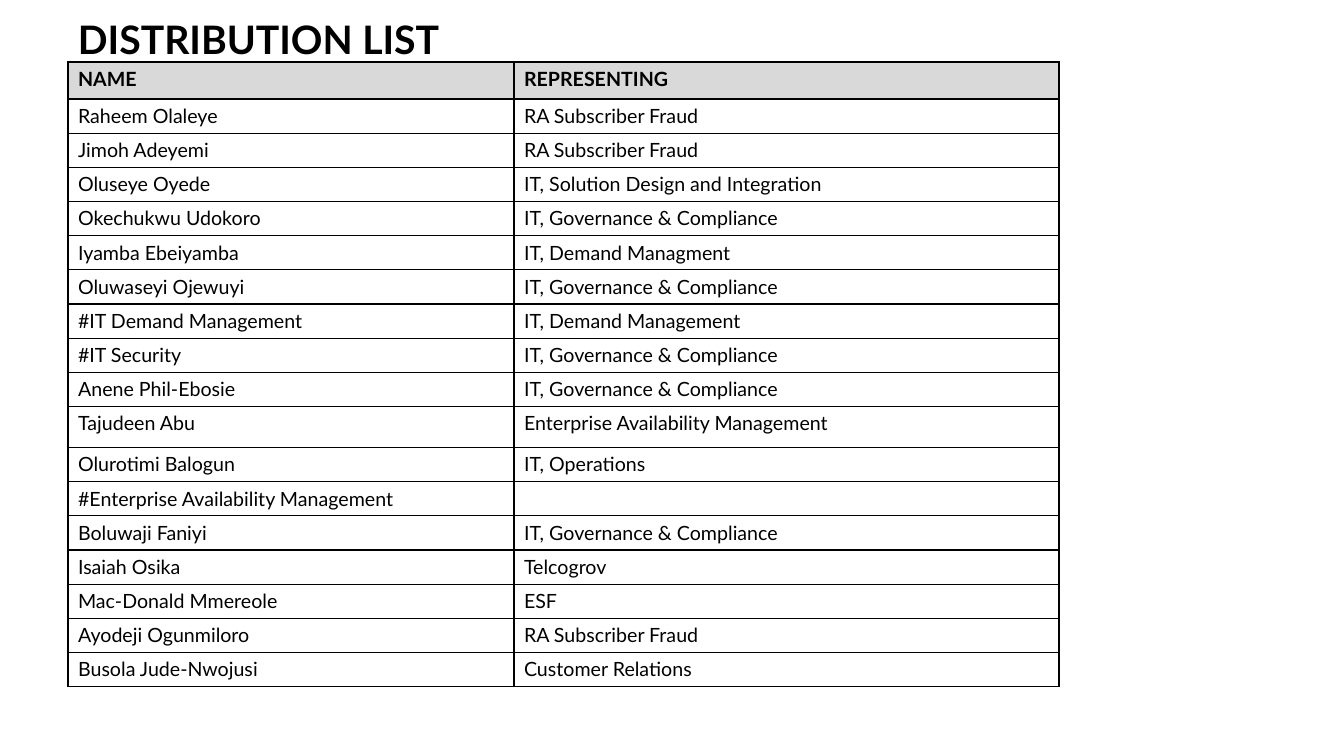
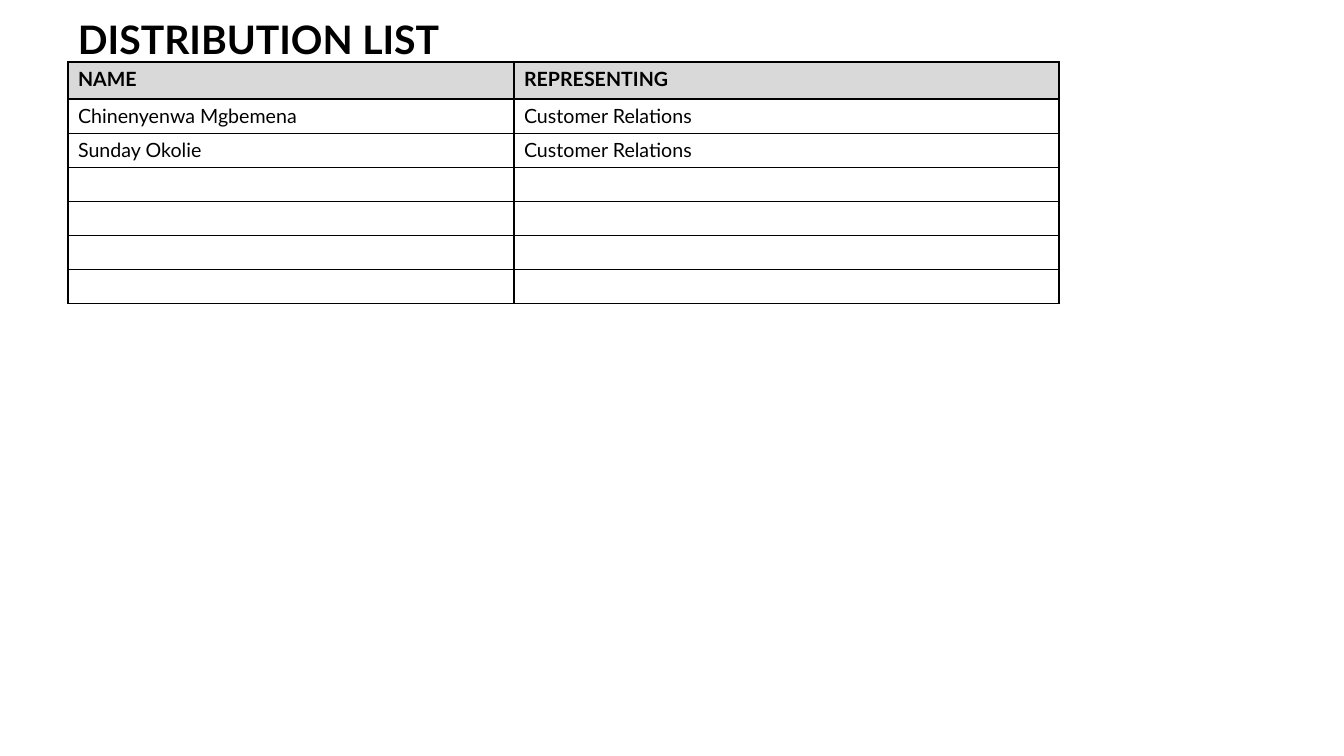
import lxml.etree
import pptx
import pptx.dml.color
import pptx.enum.text
import pptx.oxml.ns
import pptx.util

EMU_PER_PX = 914400 / 100.8
HEADINGS = ("NAME", "REPRESENTING")
FRAUD = "RA Subscriber Fraud"
GOVERNANCE = "IT, Governance & Compliance"
AVAILABILITY = "Enterprise Availability Management"
CUSTOMERS = "Customer Relations"

FIRST_RECIPIENTS = [
    ("Raheem Olaleye", FRAUD),
    ("Jimoh Adeyemi", FRAUD),
    ("Oluseye Oyede", "IT, Solution Design and Integration"),
    ("Okechukwu Udokoro", GOVERNANCE),
    ("Iyamba Ebeiyamba", "IT, Demand Managment"),
    ("Oluwaseyi Ojewuyi", GOVERNANCE),
    ("#IT Demand Management", "IT, Demand Management"),
    ("#IT Security", GOVERNANCE),
    ("Anene Phil-Ebosie", GOVERNANCE),
    ("Tajudeen Abu", AVAILABILITY),
    ("Olurotimi Balogun", "IT, Operations"),
    ("#" + AVAILABILITY, ""),
    ("Boluwaji Faniyi", GOVERNANCE),
    ("Isaiah Osika", "Telcogrov"),
    ("Mac-Donald Mmereole", "ESF"),
    ("Ayodeji Ogunmiloro", FRAUD),
    ("Busola Jude-Nwojusi", CUSTOMERS),
]
MORE_RECIPIENTS = [
    ("Chinenyenwa Mgbemena", CUSTOMERS),
    ("Sunday Okolie", CUSTOMERS),
] + [("", "")] * 4


def px(length):
    return pptx.util.Emu(round(length * EMU_PER_PX))


def colour(value):
    return pptx.dml.color.RGBColor.from_string(value)


def write(frame, text, size, bold=False, ink="000000", font="Lato", spacing=None, before=None):
    paragraph = frame.paragraphs[0]
    paragraph.alignment = pptx.enum.text.PP_ALIGN.LEFT
    if spacing:
        paragraph.line_spacing = spacing
    if before:
        paragraph.space_before = pptx.util.Pt(before)
    if not text:
        end_mark = pptx.oxml.ns.qn("a:endParaRPr")
        lxml.etree.SubElement(paragraph._p, end_mark, sz=str(size * 100))
        return
    run = paragraph.add_run()
    run.text = text
    run.font.name = font
    run.font.size = pptx.util.Pt(size)
    run.font.bold = bold
    run.font.color.rgb = colour(ink)


class Deck:
    """Distribution list slides in one shared style."""

    border = "000000"
    heading_fill = "D9D9D9"
    row_fill = "FFFFFF"
    text_size = 14
    columns = (446, 545)
    heading_height = 37

    def __init__(self):
        self.presentation = pptx.Presentation()
        self.presentation.slide_width = px(1344)
        self.presentation.slide_height = px(756)
        self.slide = None

    def add_slide(self, title):
        layout = self.presentation.slide_layouts[5]
        self.slide = self.presentation.slides.add_slide(layout)
        heading = self.slide.shapes.title
        heading.left, heading.top = px(78), px(11)
        heading.width, heading.height = px(1223), px(47)
        frame = heading.text_frame
        frame.margin_left = frame.margin_right = 0
        frame.margin_top = frame.margin_bottom = 0
        frame.vertical_anchor = pptx.enum.text.MSO_ANCHOR.TOP
        frame.auto_size = pptx.enum.text.MSO_AUTO_SIZE.NONE
        write(frame, title, 28, bold=True, spacing=1.1, before=3)

    def outline(self, cell):
        properties = cell._tc.get_or_add_tcPr()
        qn = pptx.oxml.ns.qn
        for side in ("a:lnL", "a:lnR", "a:lnT", "a:lnB"):
            line = lxml.etree.SubElement(properties, qn(side), w=str(pptx.util.Pt(1)))
            fill = lxml.etree.SubElement(line, qn("a:solidFill"))
            lxml.etree.SubElement(fill, qn("a:srgbClr"), val=self.border)

    def add_cell(self, cell, text, is_heading):
        self.outline(cell)
        cell.fill.solid()
        cell.fill.fore_color.rgb = colour(self.heading_fill if is_heading else self.row_fill)
        write(cell.text_frame, text, self.text_size, bold=is_heading)

    def add_recipients(self, recipients, body_height, tall_name=None):
        entries = [HEADINGS] + recipients
        table = self.slide.shapes.add_table(
            len(entries), len(HEADINGS), px(68), px(62),
            px(sum(self.columns)), px(self.heading_height + body_height)).table
        table.first_row = table.horz_banding = False
        for column, width in zip(table.columns, self.columns):
            column.width = px(width)
        weights = [1.2 if name == tall_name else 1 for name, _ in recipients]
        unit = body_height / sum(weights)
        heights = [self.heading_height] + [unit * weight for weight in weights]
        for index, (row, height, entry) in enumerate(zip(table.rows, heights, entries)):
            row.height = px(height)
            for cell, text in zip(row.cells, entry):
                self.add_cell(cell, text, index == 0)


def main():
    deck = Deck()
    deck.add_slide("DISTRIBUTION LIST")
    deck.add_recipients(FIRST_RECIPIENTS, 588, tall_name="Tajudeen Abu")
    deck.add_slide("DISTRIBUTION LIST")
    deck.add_recipients(MORE_RECIPIENTS, 205)
    deck.presentation.save("out.pptx")


if __name__ == "__main__":
    main()
